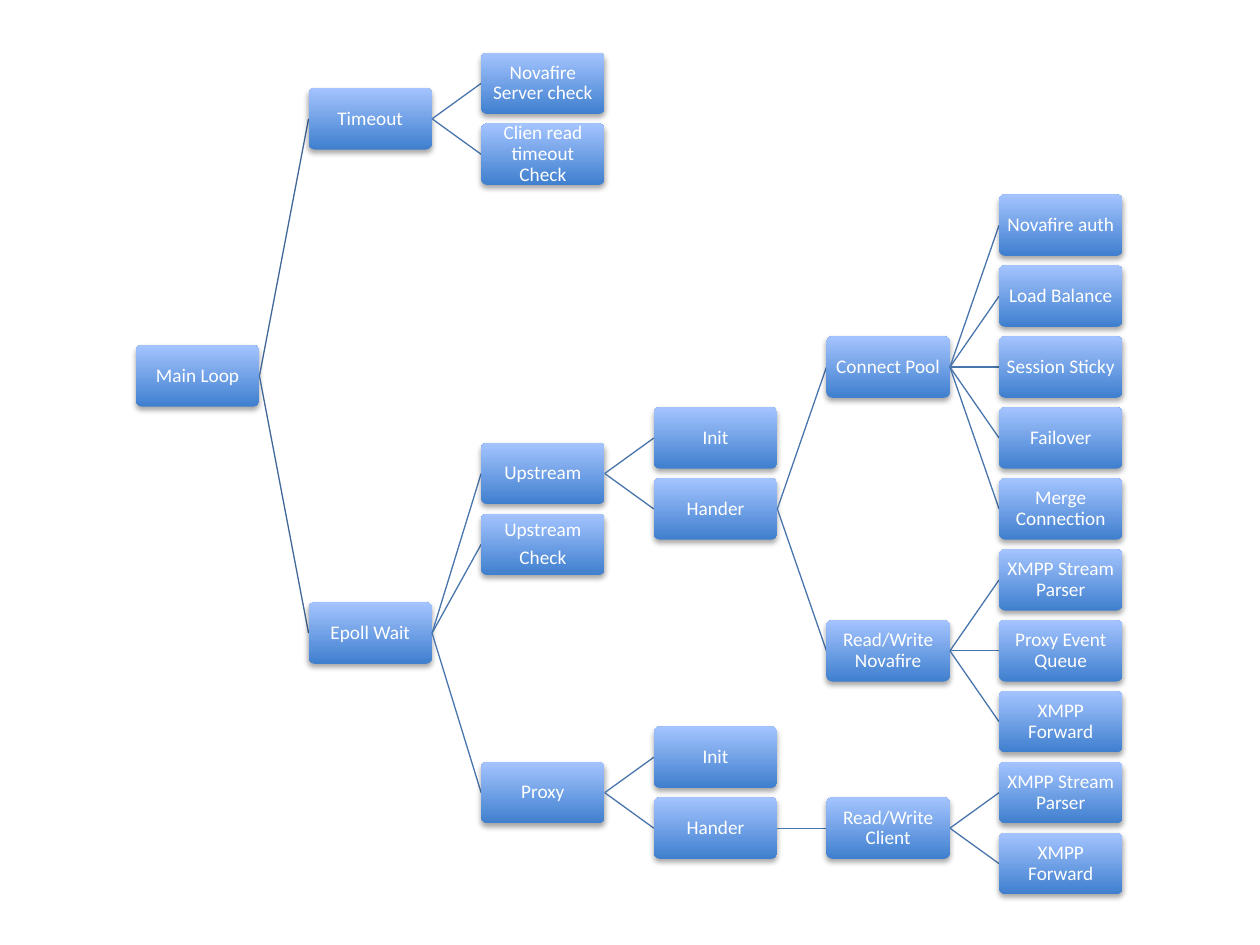
"""Build a slide with the event loop of a messaging proxy as a tree."""
from lxml import etree
from pptx import Presentation
from pptx.dml.color import RGBColor
from pptx.enum.shapes import MSO_CONNECTOR, MSO_SHAPE
from pptx.enum.text import MSO_ANCHOR, PP_ALIGN
from pptx.oxml.ns import qn
from pptx.util import Cm, Pt

ROUNDED = MSO_SHAPE.ROUNDED_RECTANGLE
STRAIGHT = MSO_CONNECTOR.STRAIGHT
MIDDLE = MSO_ANCHOR.MIDDLE
CENTER = PP_ALIGN.CENTER

WHITE = RGBColor(0xFF, 0xFF, 0xFF)
BOX_DARK = RGBColor(0x3F, 0x7F, 0xCE)
BOX_LIGHT = RGBColor(0xA4, 0xC4, 0xFF)
ROOT_LINE = RGBColor(0x3F, 0x67, 0x97)
BRANCH_LINE = RGBColor(0x48, 0x75, 0xAC)

LEFT, FIRST_ROW = 2.74, 1.68
COL_PITCH, ROW_PITCH = 3.48, 1.43
BOX_W, BOX_H = 2.49, 1.24
PAD = Cm(0.06)

# Each node is a label with either its row (a leaf) or its children.
TREE = ("Main Loop", [
    ("Timeout", [
        ("Novafire Server check", 0),
        ("Clien read timeout Check", 1),
    ]),
    ("Epoll Wait", [
        ("Upstream", [
            ("Init", 5),
            ("Hander", [
                ("Connect Pool", [
                    ("Novafire auth", 2),
                    ("Load Balance", 3),
                    ("Session Sticky", 4),
                    ("Failover", 5),
                    ("Merge Connection", 6),
                ]),
                ("Read/Write Novafire", [
                    ("XMPP Stream Parser", 7),
                    ("Proxy Event Queue", 8),
                    ("XMPP Forward", 9),
                ]),
            ]),
        ]),
        ("Upstream\nCheck", 6.5),
        ("Proxy", [
            ("Init", 9.5),
            ("Hander", [
                ("Read/Write Client", [
                    ("XMPP Stream Parser", 10),
                    ("XMPP Forward", 11),
                ]),
            ]),
        ]),
    ]),
])


def row_of(node):
    """Return a leaf's row, or the midpoint of the first and last child."""
    place = node[1]
    if isinstance(place, list):
        return (row_of(place[0]) + row_of(place[-1])) / 2
    return place


def left_of(depth):
    """Return the left edge of a column in centimetres."""
    return LEFT + depth * COL_PITCH


def middle_of(node):
    """Return the vertical centre of a node in centimetres."""
    return FIRST_ROW + row_of(node) * ROW_PITCH


def add_shadow(sp):
    """Give a shape a soft shadow below it."""
    sp.shadow.inherit = False
    effects = sp._element.spPr.find(qn("a:effectLst"))
    shadow = etree.SubElement(effects, qn("a:outerShdw"), blurRad="40000",
                              dist="23000", dir="5400000", rotWithShape="0")
    color = etree.SubElement(shadow, qn("a:srgbClr"), val="000000")
    etree.SubElement(color, qn("a:alpha"), val="35000")


def add_label(sp, text):
    """Write centred white text in a box."""
    tf = sp.text_frame
    tf.text = text
    tf.word_wrap = True
    tf.vertical_anchor = MIDDLE
    tf.margin_left = tf.margin_right = tf.margin_top = tf.margin_bottom = PAD
    for p in tf.paragraphs:
        p.alignment = CENTER
        p.line_spacing = 0.9
        for r in p.runs:
            r.font.name = "Calibri"
            r.font.size = Pt(11)
            r.font.color.rgb = WHITE
    for p in tf.paragraphs[:-1]:
        p.space_after = Pt(3.85)


def add_box(slide, node, depth):
    """Draw the box of one node."""
    sp = slide.shapes.add_shape(ROUNDED, Cm(left_of(depth)), Cm(middle_of(node) - BOX_H / 2),
                                Cm(BOX_W), Cm(BOX_H))
    sp.adjustments[0] = 0.1
    sp.fill.gradient()
    sp.fill.gradient_angle = 90
    for stop, color, position in zip(sp.fill.gradient_stops, (BOX_DARK, BOX_LIGHT), (0, 1)):
        stop.color.rgb = color
        stop.position = position
    sp.line.fill.background()
    add_shadow(sp)
    add_label(sp, node[0])


def add_branch(slide, parent, child, depth):
    """Draw the line from a parent at this depth to its child."""
    line = slide.shapes.add_connector(STRAIGHT, Cm(left_of(depth) + BOX_W), Cm(middle_of(parent)),
                                      Cm(left_of(depth + 1)), Cm(middle_of(child)))
    line.line.color.rgb = BRANCH_LINE if depth else ROOT_LINE
    line.line.width = Pt(0.75)
    etree.SubElement(line._element.spPr, qn("a:effectLst"))


def add_tree(slide, node, depth=0):
    """Draw a node and everything below it."""
    add_box(slide, node, depth)
    if isinstance(node[1], list):
        for child in node[1]:
            add_branch(slide, node, child, depth)
            add_tree(slide, child, depth + 1)


def main():
    """Build and save the slide."""
    prs = Presentation()
    prs.slide_width, prs.slide_height = Cm(25.4), Cm(19.05)
    slide = prs.slides.add_slide(prs.slide_layouts[6])
    add_tree(slide, TREE)
    prs.save("out.pptx")


main()
